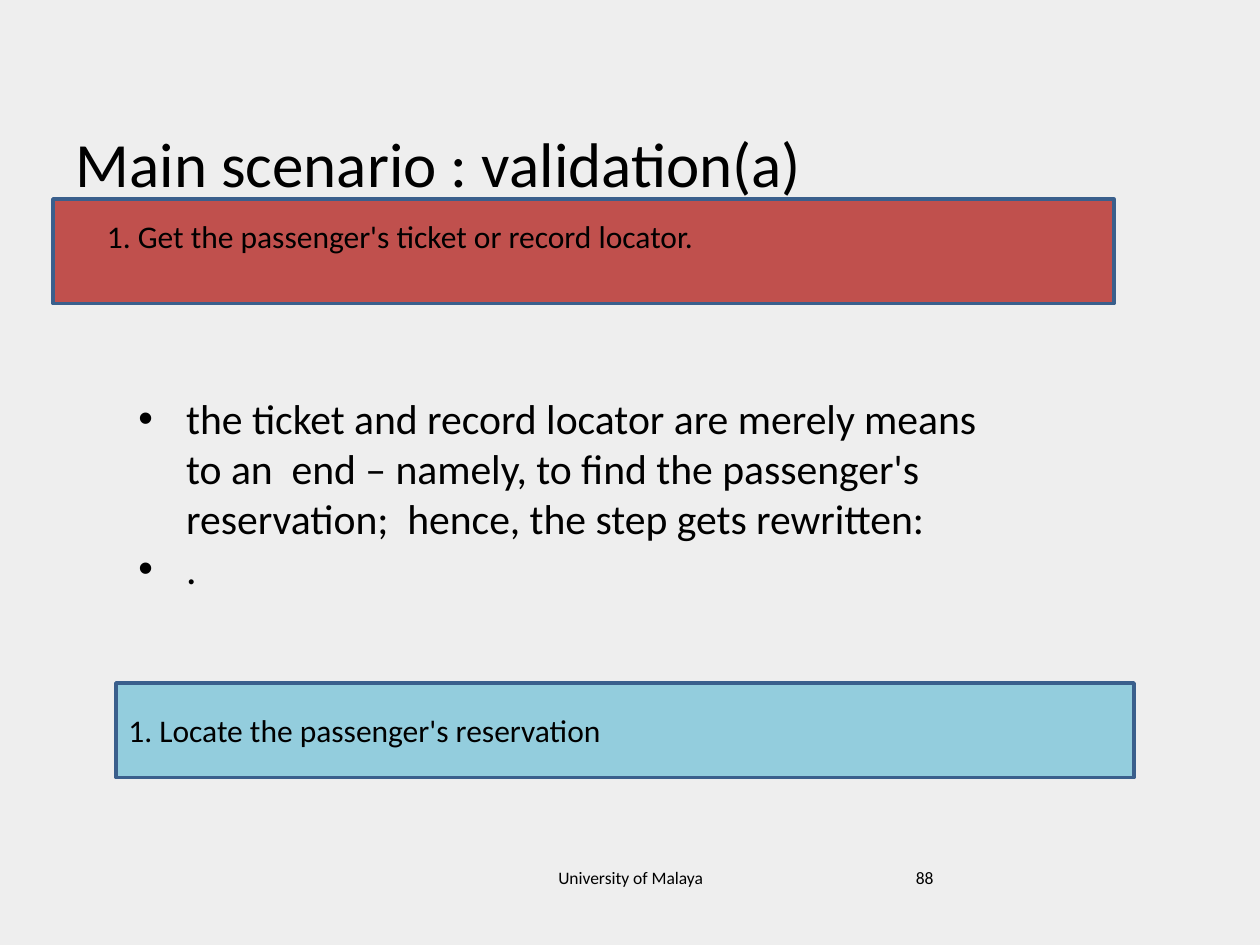
from pptx import Presentation
from pptx.dml.color import RGBColor
from pptx.enum.shapes import MSO_SHAPE
from pptx.enum.text import MSO_ANCHOR, PP_ALIGN
from pptx.oxml.ns import qn
from pptx.util import Inches, Pt
from lxml import etree

FONT = "Calibri"
BLACK = "000000"


def rgb(value):
    return RGBColor.from_string(value)


def add_run(p, text, size):
    r = p.add_run()
    r.text = text
    r.font.name = FONT
    r.font.size = Pt(size)
    r.font.color.rgb = rgb(BLACK)


def place(sp, box):
    sp.left, sp.top, sp.width, sp.height = (Inches(v) for v in box)


def add_title(s, box, text):
    sp = s.shapes.title
    place(sp, box)
    tf = sp.text_frame
    tf.vertical_anchor = MSO_ANCHOR.BOTTOM
    p = tf.paragraphs[0]
    p.alignment = PP_ALIGN.LEFT
    add_run(p, text, 36)


def add_text(s, box, text, size, align=PP_ALIGN.LEFT):
    sp = s.shapes.add_textbox(*(Inches(v) for v in box))
    tf = sp.text_frame
    tf.word_wrap = True
    p = tf.paragraphs[0]
    p.alignment = align
    add_run(p, text, size)


def add_bullets(s, box, items):
    sp = s.shapes.add_textbox(*(Inches(v) for v in box))
    tf = sp.text_frame
    tf.word_wrap = True
    for i, item in enumerate(items):
        p = tf.add_paragraph() if i else tf.paragraphs[0]
        add_run(p, item, 23.8)
        pPr = p._p.get_or_add_pPr()
        pPr.set("marL", str(Inches(0.38)))
        pPr.set("indent", str(-Inches(0.38)))
        etree.SubElement(pPr, qn("a:buFont")).set("typeface", "Arial")
        etree.SubElement(pPr, qn("a:buChar")).set("char", "•")


def add_panel(s, box, fill, text=""):
    sp = s.shapes.add_shape(MSO_SHAPE.RECTANGLE, *(Inches(v) for v in box))
    sp.shadow.inherit = False
    sp.fill.solid()
    sp.fill.fore_color.rgb = rgb(fill)
    sp.line.color.rgb = rgb("3A5F8C")
    sp.line.width = Pt(2)
    if text:
        tf = sp.text_frame
        tf.word_wrap = True
        tf.vertical_anchor = MSO_ANCHOR.MIDDLE
        p = tf.paragraphs[0]
        p.alignment = PP_ALIGN.LEFT
        add_run(p, text, 18)


def add_footer(s, top, height):
    add_text(s, (3.42, top, 3.17, height), "University of Malaya", 10, PP_ALIGN.CENTER)
    add_text(s, (7.17, top, 2.33, height), "88", 10)


def main():
    prs = Presentation()
    prs.slide_width, prs.slide_height = Inches(10), Inches(7.5)
    s = prs.slides.add_slide(prs.slide_layouts[5])
    s.background.fill.solid()
    s.background.fill.fore_color.rgb = rgb("EEEEEE")

    add_title(s, (0.5, 0.39, 9, 1.25), "Main scenario : validation(a)")
    add_bullets(s, (1, 3.07, 7, 1.77), [
        "the ticket and record locator are merely means to an  end – namely, "
        "to find the passenger's reservation;  hence, the step gets rewritten:",
        ".",
    ])
    add_footer(s, 6.83, 0.52)
    add_panel(s, (0.42, 1.58, 8.42, 0.83), "C0504D")
    add_text(s, (0.75, 1.67, 8.33, 0.71),
             "1. Get the passenger's ticket or record locator.", 18)
    add_panel(s, (0.92, 5.42, 8.08, 0.75), "93CDDD",
              "1. Locate the passenger's reservation")
    prs.save("out.pptx")


if __name__ == "__main__":
    main()
